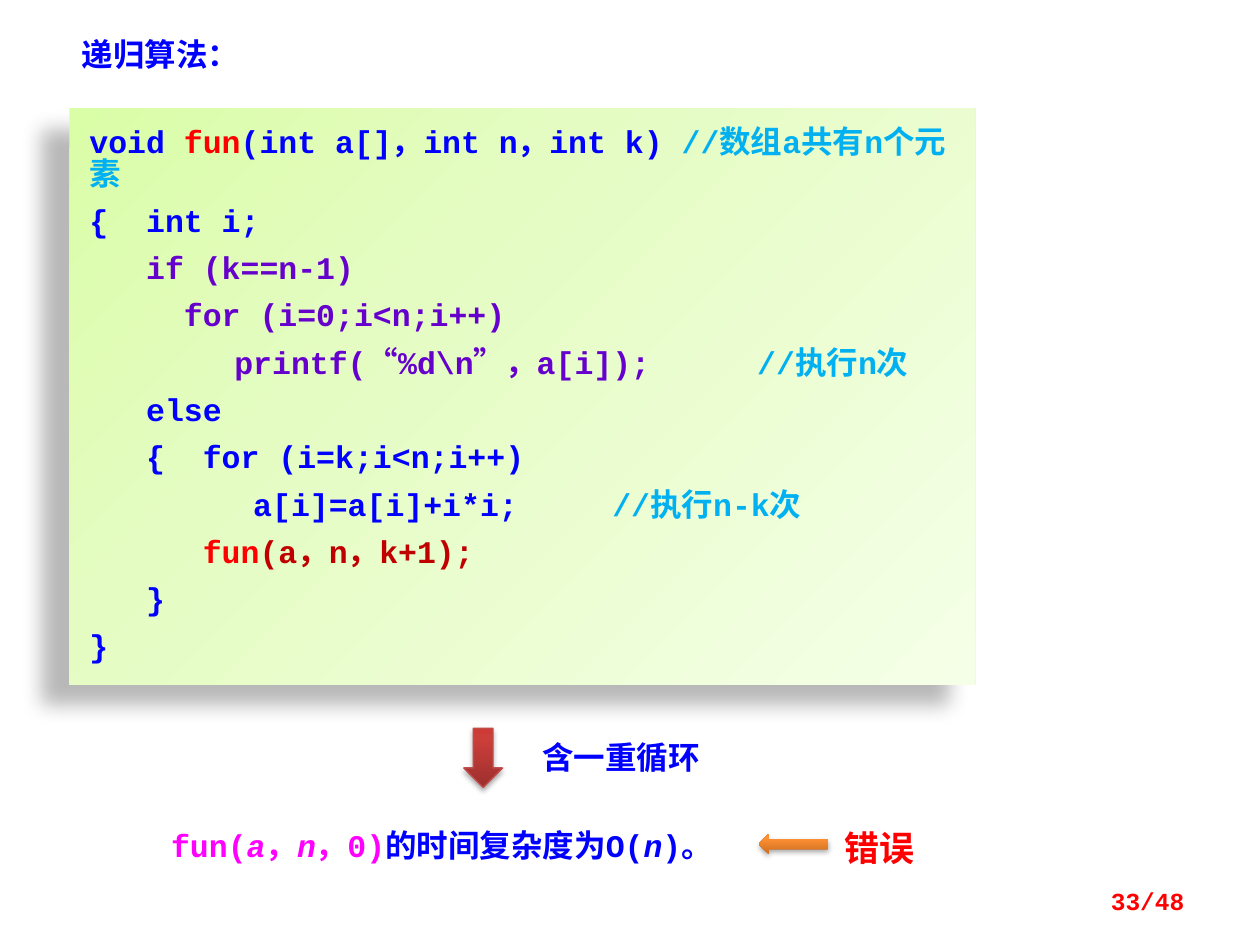
from dataclasses import dataclass
from typing import Optional

from lxml.etree import SubElement
from pptx import Presentation
from pptx.dml.color import RGBColor
from pptx.enum.shapes import MSO_SHAPE
from pptx.enum.text import MSO_ANCHOR, MSO_AUTO_SIZE, PP_ALIGN
from pptx.oxml.ns import qn
from pptx.util import Inches, Pt

BLUE, RED, MAGENTA = "0000FF", "FF0000", "FF00FF"
PURPLE, SKY, DARK_RED = "6600CC", "00B0F0", "C00000"
CODE_FONT, CHINESE_FONT = "Courier New", "Noto Sans CJK SC"


@dataclass
class Piece:
    text: str
    color: str = BLUE
    italic: bool = False


@dataclass
class Label:
    box: tuple
    pieces: list
    font: str = CHINESE_FONT
    size: int = 18
    align: PP_ALIGN = PP_ALIGN.CENTER
    anchor: MSO_ANCHOR = MSO_ANCHOR.TOP
    spacing: float = 1.1


@dataclass
class Block:
    kind: MSO_SHAPE
    box: tuple
    stops: list
    angle: int
    shadow: tuple  # opacity %, blur pt, distance pt, direction degrees
    line: Optional[str] = None


def rgb(value: str) -> RGBColor:
    return RGBColor.from_string(value)


def place(shape, box: tuple) -> None:
    shape.left, shape.top, shape.width, shape.height = map(Inches, box)


def add_pieces(paragraph, pieces: list, font: str, size: int) -> None:
    for piece in pieces:
        run = paragraph.add_run()
        run.text = piece.text
        run.font.size = Pt(size)
        run.font.bold = True
        run.font.italic = piece.italic
        run.font.color.rgb = rgb(piece.color)
        run.font.name = font
        east_asian = SubElement(run._r.get_or_add_rPr(), qn("a:ea"))
        east_asian.set("typeface", CHINESE_FONT)


def fill_label(shape, label: Label) -> None:
    place(shape, label.box)
    frame = shape.text_frame
    frame.word_wrap = True
    frame.auto_size = MSO_AUTO_SIZE.NONE
    frame.vertical_anchor = label.anchor
    paragraph = frame.paragraphs[0]
    paragraph.alignment = label.align
    paragraph.line_spacing = label.spacing
    paragraph.space_before = Pt(0)
    add_pieces(paragraph, label.pieces, label.font, label.size)


def add_color(parent, value: str):
    color = SubElement(parent, qn("a:srgbClr"))
    color.set("val", value)
    return color


def add_block(slide, block: Block):
    shape = slide.shapes.add_shape(block.kind, *map(Inches, block.box))
    # Gradient with any number of stops
    shape.fill.gradient()
    gradient = shape._element.spPr.find(qn("a:gradFill"))
    stop_list = gradient.find(qn("a:gsLst"))
    for old_stop in list(stop_list):
        stop_list.remove(old_stop)
    for position, color in block.stops:
        stop = SubElement(stop_list, qn("a:gs"))
        stop.set("pos", str(position * 1000))
        add_color(stop, color)
    gradient.find(qn("a:lin")).set("ang", str(block.angle * 60000))
    # Outline
    if block.line:
        shape.line.color.rgb = rgb(block.line)
        shape.line.width = Pt(0.75)
    else:
        shape.line.fill.background()
    # Outer shadow
    shape.shadow.inherit = False
    opacity, blur, distance, direction = block.shadow
    effects = shape._element.spPr.find(qn("a:effectLst"))
    outer = SubElement(effects, qn("a:outerShdw"))
    outer.set("blurRad", str(int(Pt(blur))))
    outer.set("dist", str(int(Pt(distance))))
    outer.set("dir", str(direction * 60000))
    outer.set("rotWithShape", "0")
    alpha = SubElement(add_color(outer, "000000"), qn("a:alpha"))
    alpha.set("val", str(opacity * 1000))
    return shape


def add_tab_stops(paragraph, count: int) -> None:
    tabs = SubElement(paragraph._p.get_or_add_pPr(), qn("a:tabLst"))
    for number in range(1, count + 1):
        tab = SubElement(tabs, qn("a:tab"))
        tab.set("pos", str(int(Inches(number))))
        tab.set("algn", "l")


def fill_code(shape, lines: list) -> None:
    frame = shape.text_frame
    frame.word_wrap = True
    frame.vertical_anchor = MSO_ANCHOR.TOP
    frame.margin_left = frame.margin_top = Inches(0.16)
    frame.margin_right, frame.margin_bottom = Inches(0.1), Inches(0.12)
    for index, pieces in enumerate(lines):
        paragraph = frame.add_paragraph() if index else frame.paragraphs[0]
        add_tab_stops(paragraph, 6)
        paragraph.alignment = PP_ALIGN.LEFT
        paragraph.line_spacing = Pt(18)
        paragraph.space_before = Pt(9 if index else 0)
        add_pieces(paragraph, pieces, CODE_FONT, 18)


TITLE = Label((0.55, 0.23, 5.55, 0.4), [Piece("递归算法：")],
              font="Times New Roman", align=PP_ALIGN.JUSTIFY, spacing=1.0)

CODE_PANEL = Block(MSO_SHAPE.RECTANGLE, (0.55, 0.86, 7.19, 4.57),
                   [(0, "DAFDA7"), (35, "E4FCC2"), (100, "F5FFE7")], 45,
                   (28, 11.8, 19.7, 141))

CODE = [
    [Piece("void "), Piece("fun", RED), Piece("(int a[]，int n，int k) "),
     Piece("//数组a共有n个元素", SKY)],
    [Piece("{  int i;")],
    [Piece("   if (k==n-1)", PURPLE)],
    [Piece("     for (i=0;i<n;i++)", PURPLE)],
    [Piece("\t printf(“%d\\n”，a[i]);\t  ", PURPLE), Piece("//执行n次", SKY)],
    [Piece("   else")],
    [Piece("   {  for (i=k;i<n;i++)")],
    [Piece("\t  a[i]=a[i]+i*i;\t "), Piece("//执行n-k次", SKY)],
    [Piece("      fun", RED), Piece("(a，n，k+1);", DARK_RED)],
    [Piece("   }")],
    [Piece("}")],
]

ARROWS = [
    Block(MSO_SHAPE.LEFT_ARROW, (6.02, 6.62, 0.55, 0.16),
          [(0, "CC6E20"), (80, "FF9034"), (100, "FF9136")], 270,
          (35, 3.1, 1.8, 90)),
    Block(MSO_SHAPE.DOWN_ARROW, (3.68, 5.78, 0.31, 0.47),
          [(0, "9C2F2D"), (80, "CB3E3A"), (100, "CE3B37")], 270,
          (35, 3.1, 1.8, 90), "BF4C48"),
]

LABELS = [
    Label((6.47, 6.48, 1.02, 0.47), [Piece("错误", RED)],
          font="Noto Sans CJK JP", size=20),
    Label((1.26, 6.48, 5.16, 0.43),
          [Piece("fun(", MAGENTA), Piece("a", MAGENTA, True),
           Piece("，", MAGENTA), Piece("n", MAGENTA, True),
           Piece("，0)", MAGENTA), Piece("的时间复杂度为O("),
           Piece("n", italic=True), Piece(")。")],
          font=CODE_FONT, align=PP_ALIGN.LEFT),
    Label((4.07, 5.78, 1.72, 0.39), [Piece("含一重循环")]),
    Label((7.17, 6.95, 2.33, 0.4), [Piece("33/48", RED)], font=CODE_FONT,
          size=14, align=PP_ALIGN.RIGHT, anchor=MSO_ANCHOR.MIDDLE, spacing=1.0),
]


def main() -> None:
    presentation = Presentation()
    presentation.slide_width, presentation.slide_height = Inches(10), Inches(7.5)
    slide = presentation.slides.add_slide(presentation.slide_layouts[5])
    # Title and code
    fill_label(slide.shapes.title, TITLE)
    fill_code(add_block(slide, CODE_PANEL), CODE)
    # Conclusion below the code, and page number
    for arrow in ARROWS:
        add_block(slide, arrow)
    for label in LABELS:
        fill_label(slide.shapes.add_textbox(*map(Inches, label.box)), label)
    presentation.save("out.pptx")


if __name__ == "__main__":
    main()
